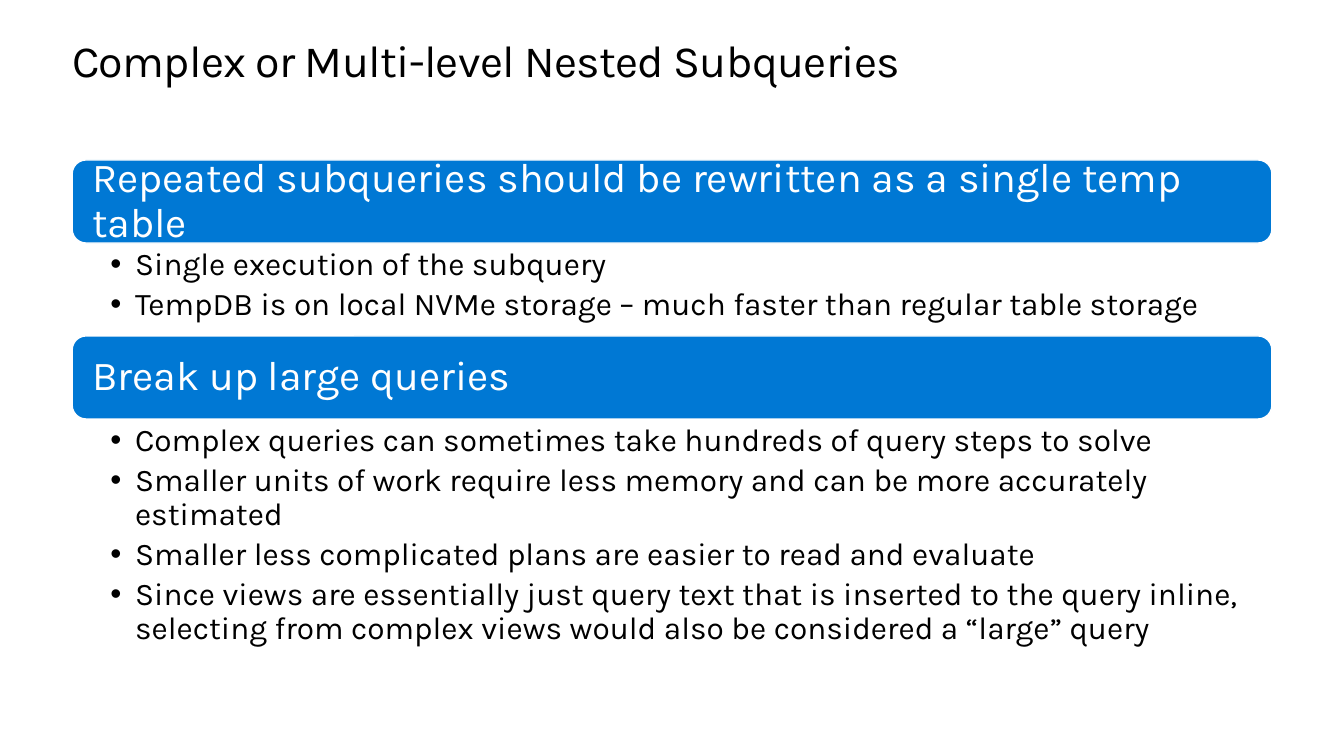
from lxml import etree
from pptx import Presentation
from pptx.dml.color import RGBColor
from pptx.enum import shapes, text
from pptx.oxml import ns
from pptx.util import Pt

FONT = "Karla"
BLACK, WHITE, BLUE = "000000", "FFFFFF", "0078D4"
LEFT, WIDTH = 52.6, 874.1
BAR_HEIGHT = 60.5
LIST_OFFSET = 61.2
BULLET_INDENT = 18

SECTIONS = [
    (116.6, 67, "Repeated subqueries should be rewritten as a single temp table", [
        "Single execution of the subquery",
        "TempDB is on local NVMe storage – much faster than regular table storage",
    ]),
    (244.8, 190.8, "Break up large queries", [
        "Complex queries can sometimes take hundreds of query steps to solve",
        "Smaller units of work require less memory and can be more accurately estimated",
        "Smaller less complicated plans are easier to read and evaluate",
        "Since views are essentially just query text that is inserted to the query inline, "
        "selecting from complex views would also be considered a “large” query",
    ]),
]


def color(value):
    return RGBColor.from_string(value)


def set_frame(frame, left, top, right, bottom, anchor):
    frame.word_wrap = True
    frame.auto_size = text.MSO_AUTO_SIZE.NONE
    frame.vertical_anchor = anchor
    frame.margin_left, frame.margin_top = Pt(left), Pt(top)
    frame.margin_right, frame.margin_bottom = Pt(right), Pt(bottom)


def format_paragraph(paragraph, size, font_color, line_spacing):
    paragraph.alignment = text.PP_ALIGN.LEFT
    paragraph.line_spacing = line_spacing
    for run in paragraph.runs:
        run.font.name = FONT
        run.font.size = Pt(size)
        run.font.color.rgb = color(font_color)


def add_bullet(paragraph):
    properties = paragraph._p.get_or_add_pPr()
    properties.set("marL", str(Pt(BULLET_INDENT)))
    properties.set("indent", str(Pt(-BULLET_INDENT)))
    font = etree.SubElement(properties, ns.qn("a:buFont"))
    font.set("typeface", "Arial")
    bullet = etree.SubElement(properties, ns.qn("a:buChar"))
    bullet.set("char", "•")


def set_title(slide, words):
    title = slide.shapes.title
    title.left, title.top = Pt(LEFT), Pt(25.9)
    title.width, title.height = Pt(WIDTH), Pt(36.9)
    frame = title.text_frame
    set_frame(frame, 0, 0, 0, 0, text.MSO_ANCHOR.TOP)
    frame.text = words
    paragraph = frame.paragraphs[0]
    format_paragraph(paragraph, 32.6, BLACK, Pt(36.9))
    paragraph.runs[0].font._element.set("spc", "-50")


def add_heading_bar(slide, top, words):
    bar = slide.shapes.add_shape(
        shapes.MSO_SHAPE.ROUNDED_RECTANGLE, Pt(LEFT), Pt(top), Pt(WIDTH), Pt(BAR_HEIGHT))
    bar.shadow.inherit = False
    bar.fill.solid()
    bar.fill.fore_color.rgb = color(BLUE)
    bar.line.color.rgb = color(WHITE)
    bar.line.width = Pt(1)
    frame = bar.text_frame
    set_frame(frame, 11.5, 11.5, 11.5, 11.5, text.MSO_ANCHOR.MIDDLE)
    frame.text = words
    format_paragraph(frame.paragraphs[0], 30, WHITE, 0.9)


def add_bullet_list(slide, top, height, items):
    box = slide.shapes.add_textbox(Pt(LEFT), Pt(top), Pt(WIDTH), Pt(height))
    frame = box.text_frame
    set_frame(frame, 27.8, 2.9, 16.6, 2.9, text.MSO_ANCHOR.TOP)
    frame.text = "\n".join(items)
    for paragraph in frame.paragraphs:
        add_bullet(paragraph)
        format_paragraph(paragraph, 23, BLACK, 0.9)
        paragraph.space_after = Pt(4.4)


def main():
    presentation = Presentation()
    presentation.slide_width, presentation.slide_height = Pt(979.2), Pt(550.8)
    slide = presentation.slides.add_slide(presentation.slide_layouts.get_by_name("Title Only"))
    set_title(slide, "Complex or Multi-level Nested Subqueries")
    for top, list_height, heading, items in SECTIONS:
        add_heading_bar(slide, top, heading)
        add_bullet_list(slide, top + LIST_OFFSET, list_height, items)
    presentation.save("out.pptx")


if __name__ == "__main__":
    main()
